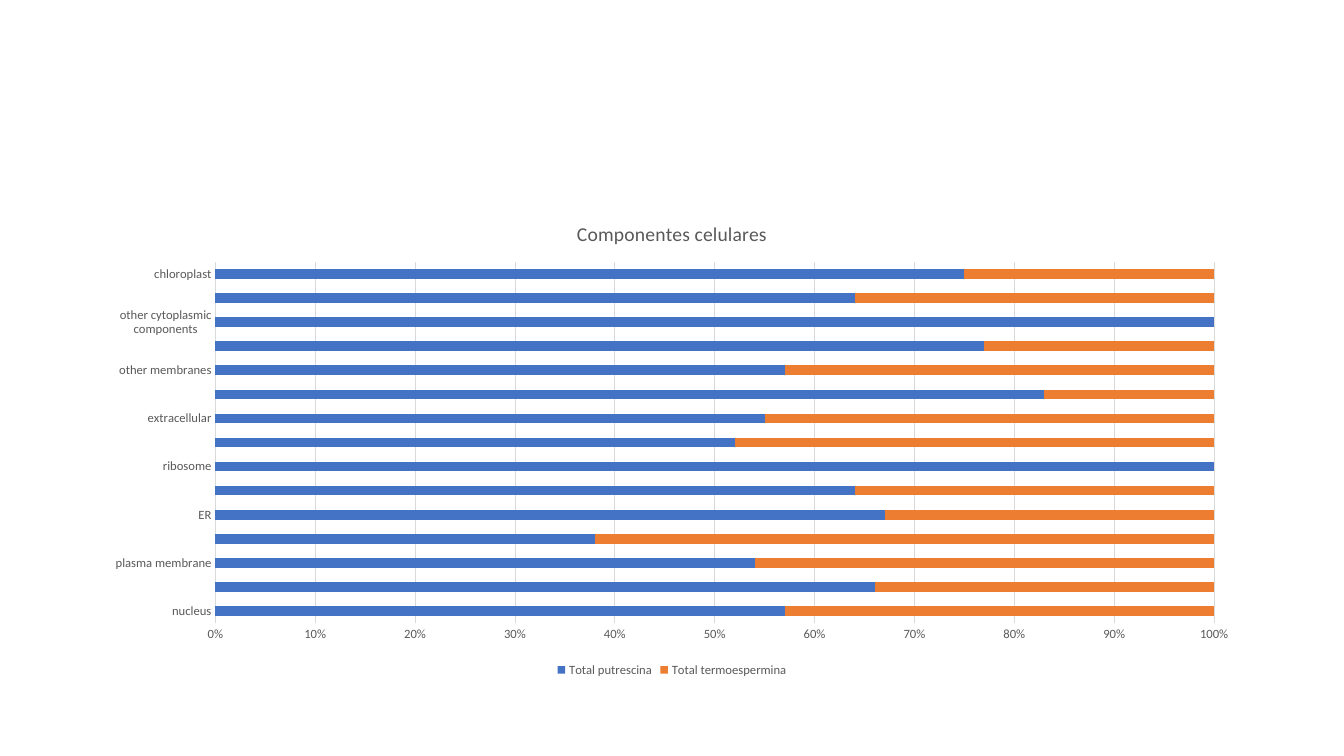
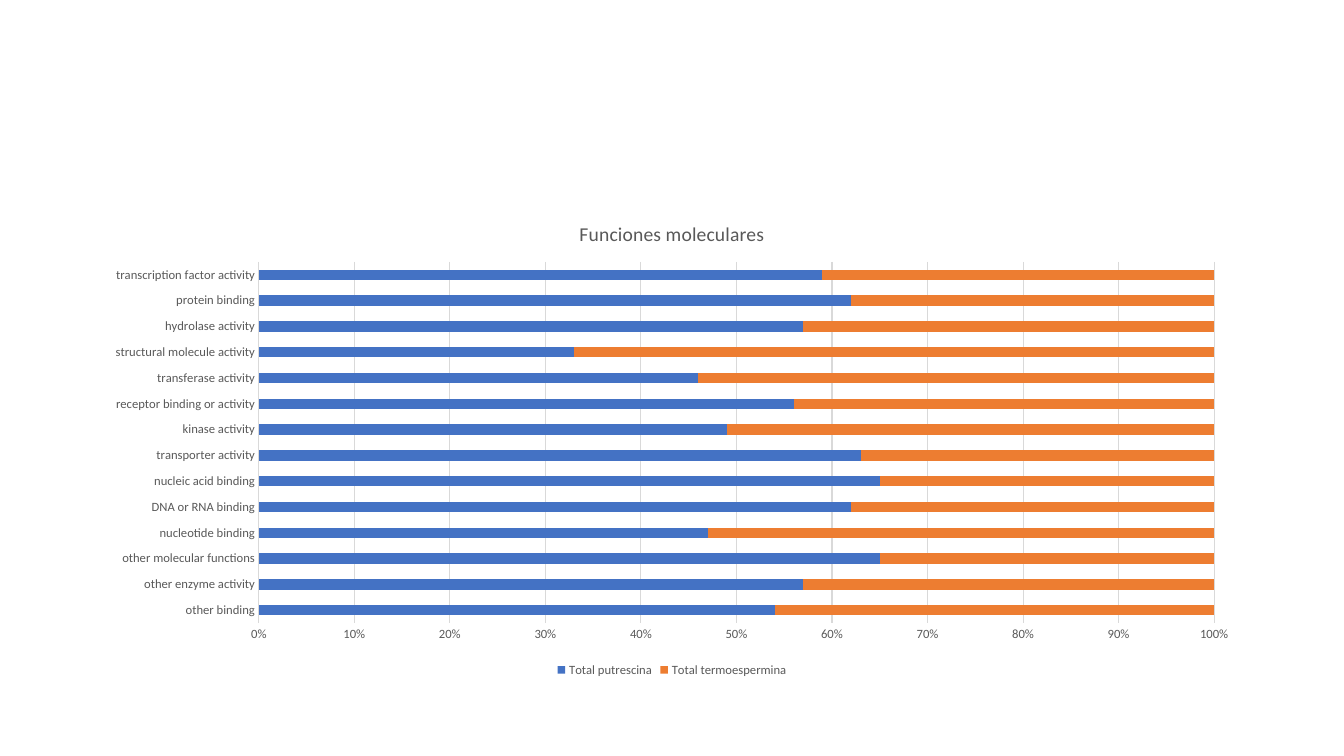
from pptx import Presentation
from pptx.chart.data import CategoryChartData
from pptx.dml.color import RGBColor
from pptx.enum import chart as c
from pptx.util import Cm, Pt

FONT = "Calibri"
GREY_TEXT = "595959"
GREY_LINE = "D9D9D9"
SERIES_COLORS = {"Total putrescina": "4472C4", "Total termoespermina": "ED7D31"}

# Category and share of putrescina in percent, from the bottom bar up
CELL_COMPONENTS = {
    "nucleus": 57,
    "plastid": 66,
    "plasma membrane": 54,
    "Colgi apparatus": 38,
    "ER": 67,
    "cytosol": 64,
    "ribosome": 100,
    "cell wall": 52,
    "extracellular": 55,
    "mitochondria": 83,
    "other membranes": 57,
    "other intracellular components": 77,
    "other cytoplasmic components": 100,
    "other/unknown cellular components": 64,
    "chloroplast": 75,
}
MOLECULAR_FUNCTIONS = {
    "other binding": 54,
    "other enzyme activity": 57,
    "other molecular functions": 65,
    "nucleotide binding": 47,
    "DNA or RNA binding": 62,
    "nucleic acid binding": 65,
    "transporter activity": 63,
    "kinase activity": 49,
    "receptor binding or activity": 56,
    "transferase activity": 46,
    "structural molecule activity": 33,
    "hydrolase activity": 57,
    "protein binding": 62,
    "transcription factor activity": 59,
}


def color(hex_string):
    return RGBColor.from_string(hex_string)


class Deck:
    """Holds the shared style and the current slide."""

    def __init__(self):
        self.presentation = Presentation()
        self.presentation.slide_width = Cm(33.87)
        self.presentation.slide_height = Cm(19.05)
        self.slide = None

    def add_slide(self):
        blank = self.presentation.slide_layouts[6]
        self.slide = self.presentation.slides.add_slide(blank)

    def style_font(self, font, size=9, hex_string=GREY_TEXT):
        font.name = FONT
        font.size = Pt(size)
        font.bold = False
        font.color.rgb = color(hex_string)

    def style_line(self, line):
        line.color.rgb = color(GREY_LINE)
        line.width = Pt(0.75)

    def style_axis(self, axis):
        axis.major_tick_mark = axis.minor_tick_mark = c.XL_TICK_MARK.NONE
        self.style_font(axis.tick_labels.font)

    def add_share_chart(self, title, shares):
        # The second series completes each bar to 100 percent
        data = CategoryChartData()
        data.categories = list(shares)
        first, second = SERIES_COLORS
        data.add_series(first, list(shares.values()))
        data.add_series(second, [100 - share for share in shares.values()])
        chart = self.slide.shapes.add_chart(
            c.XL_CHART_TYPE.BAR_STACKED_100,
            Cm(2.33), Cm(5.08), Cm(29.21), Cm(12.09), data).chart
        self.style_font(chart.font, 10, "000000")

        # Title
        chart.has_title = True
        paragraph = chart.chart_title.text_frame.paragraphs[0]
        run = paragraph.add_run()
        run.text = title
        self.style_font(run.font, 14)
        chart.chart_title.include_in_layout = False

        # Bars
        plot = chart.plots[0]
        plot.gap_width = 150
        plot.overlap = 100
        plot.vary_by_categories = False
        for series in plot.series:
            series.format.fill.solid()
            series.format.fill.fore_color.rgb = color(SERIES_COLORS[series.name])

        # Axes
        self.style_axis(chart.category_axis)
        self.style_line(chart.category_axis.format.line)
        value_axis = chart.value_axis
        self.style_axis(value_axis)
        value_axis.format.line.fill.background()
        value_axis.has_major_gridlines = True
        self.style_line(value_axis.major_gridlines.format.line)
        value_axis.tick_labels.number_format = "0%"
        value_axis.tick_labels.number_format_is_linked = False

        # Legend
        chart.has_legend = True
        chart.legend.position = c.XL_LEGEND_POSITION.BOTTOM
        chart.legend.include_in_layout = False
        self.style_font(chart.legend.font)


def main():
    deck = Deck()
    for title, shares in (("Componentes celulares", CELL_COMPONENTS),
                          ("Funciones moleculares", MOLECULAR_FUNCTIONS)):
        deck.add_slide()
        deck.add_share_chart(title, shares)
    deck.presentation.save("out.pptx")


if __name__ == "__main__":
    main()
